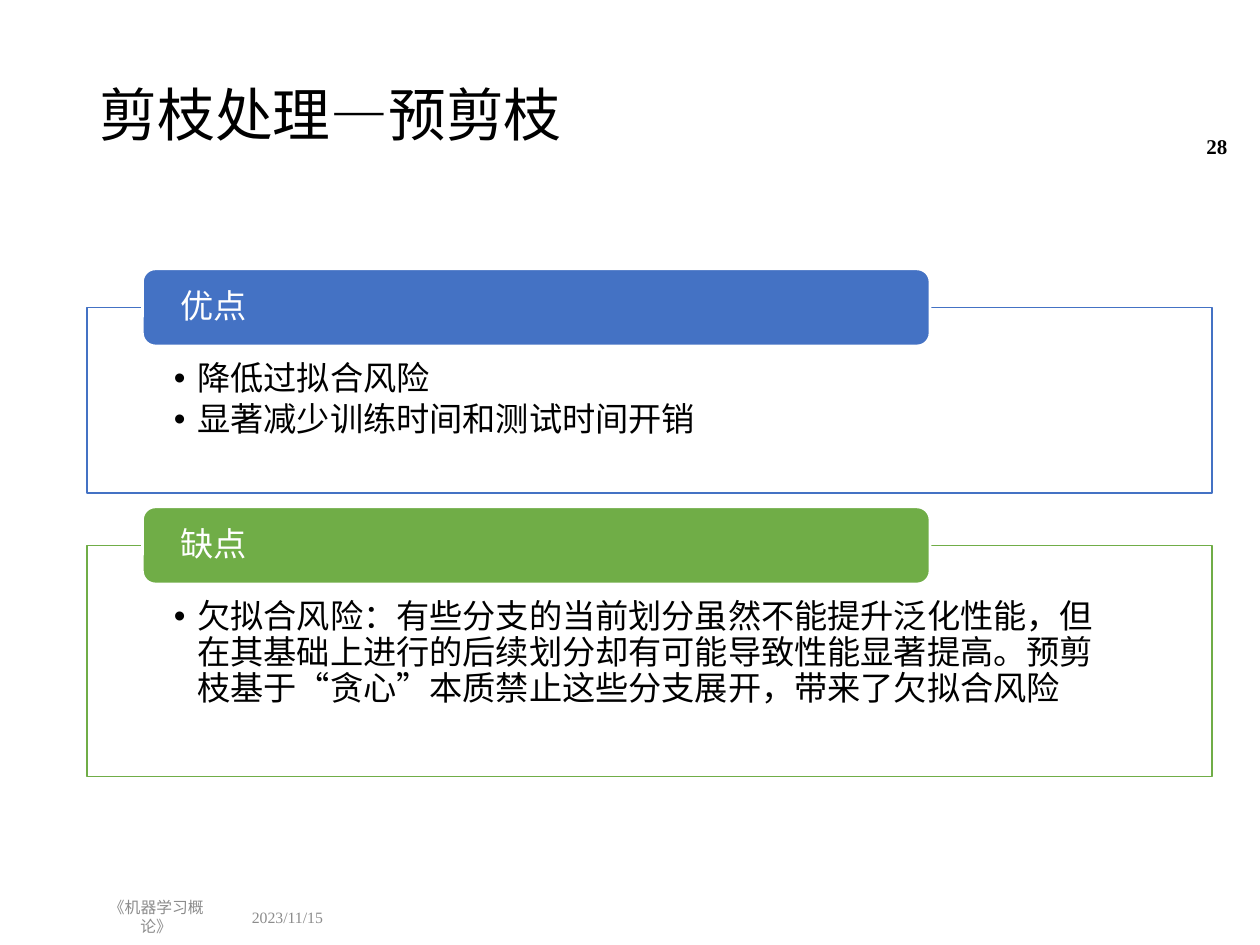
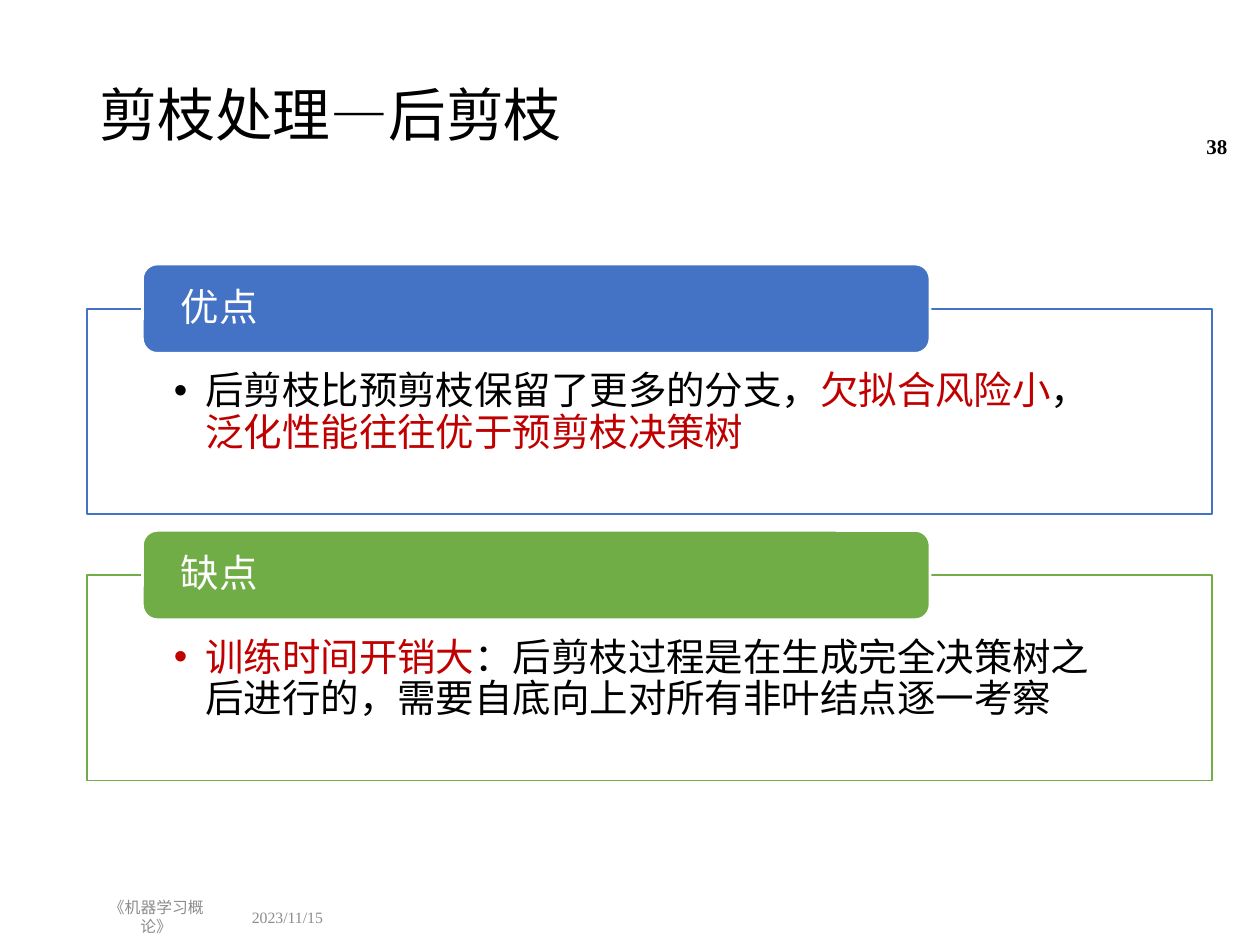
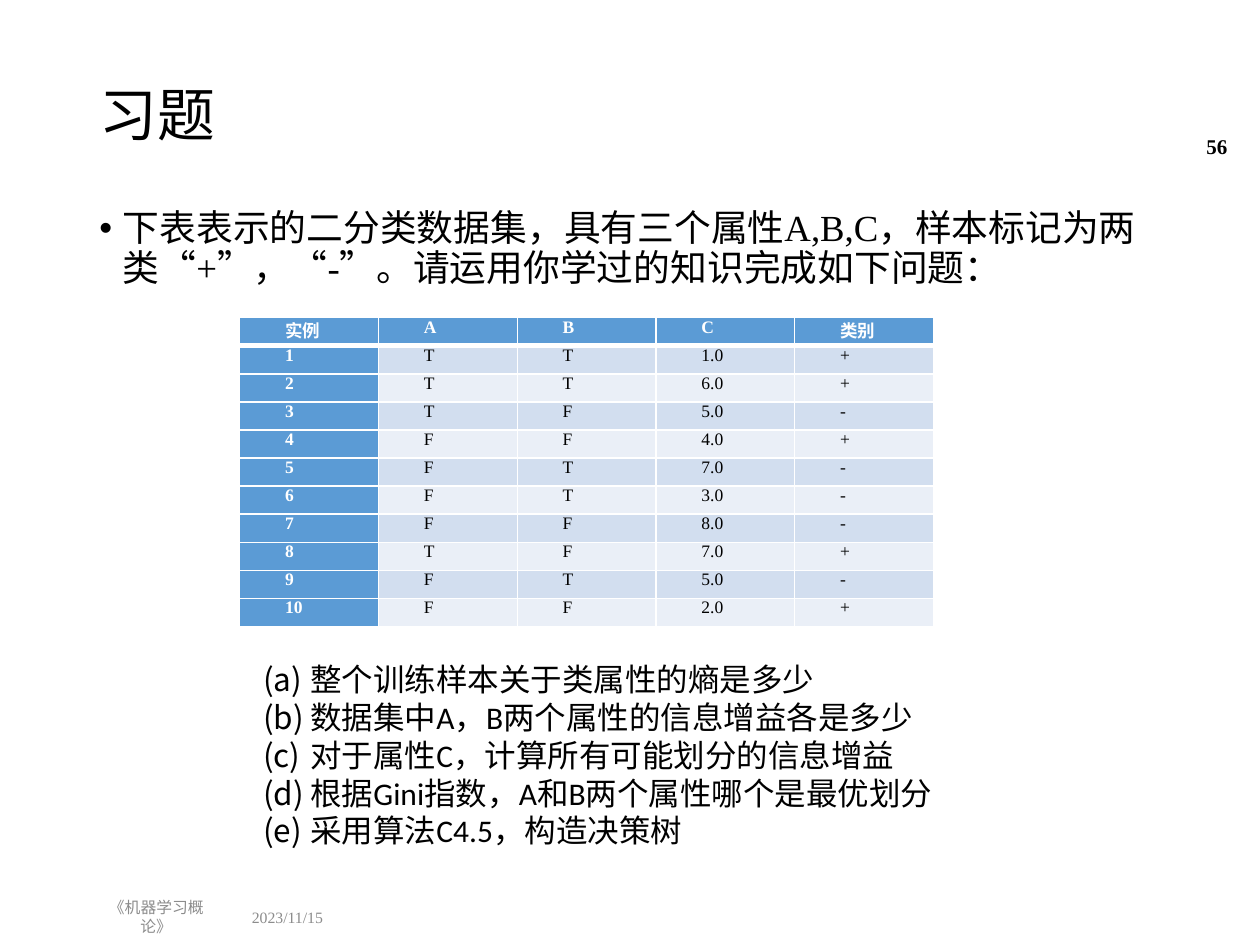
from lxml import etree
from pptx import Presentation
from pptx.dml.color import RGBColor
from pptx.enum.lang import MSO_LANGUAGE_ID as Lang
from pptx.enum.shapes import MSO_SHAPE as Shape
from pptx.enum.text import MSO_ANCHOR as Anchor, MSO_AUTO_SIZE as AutoSize, PP_ALIGN as Align
from pptx.oxml.ns import qn
from pptx.util import Pt

BLACK, WHITE, GRAY, RED = "000000", "FFFFFF", "8C8C8C", "C00000"
BLUE, GREEN = "4472C4", "70AD47"
HEADER, BANDS = "5B9BD5", ("D2DEEF", "EAEFF7")
LEFT, WIDTH = 49.7, 620.6
PANEL_WIDTH, LABEL_LEFT, LABEL_WIDTH = 643, 81.4, 450


def rgb(color):
    return RGBColor.from_string(color)


class Deck:
    serif = "Times New Roman"
    sans = "Calibri"

    def __init__(self):
        self.prs = Presentation()
        self.prs.slide_width, self.prs.slide_height = Pt(720), Pt(540)

    def start_slide(self, heading, number):
        self.slide = self.prs.slides.add_slide(self.prs.slide_layouts[5])
        title = self.slide.shapes.title
        title.left, title.top, title.width, title.height = Pt(LEFT), Pt(28.8), Pt(WIDTH), Pt(77)
        self.fill_text(title.text_frame, [heading], 33, spacing=0.9, anchor=Anchor.MIDDLE)
        self.text(136.8, 513.4, 65.5, 20.9, ["2023/11/15"], 9, GRAY, anchor=Anchor.MIDDLE)
        self.text(LEFT, 513.4, 79.2, 20.9, ["《机器学习概论》"], 9, GRAY,
                  align=Align.CENTER, anchor=Anchor.MIDDLE)
        self.text(658.8, 69.1, 49.7, 28.8, [number], 12, bold=True,
                  align=Align.RIGHT, anchor=Anchor.MIDDLE)

    def fill_text(self, frame, paragraphs, size, color=BLACK, bold=False, font=None,
                  align=Align.LEFT, anchor=Anchor.TOP, spacing=None, after=None,
                  hanging=0, bullet=None, insets=None):
        frame.word_wrap = True
        frame.auto_size = AutoSize.NONE
        frame.vertical_anchor = anchor
        if insets:
            frame.margin_left, frame.margin_top, frame.margin_right, frame.margin_bottom = map(Pt, insets)
        for index, content in enumerate(paragraphs):
            paragraph = frame.add_paragraph() if index else frame.paragraphs[0]
            if bullet:
                self.bullet(paragraph, hanging, *bullet)
            paragraph.alignment = align
            if spacing:
                paragraph.line_spacing = spacing
            if after:
                paragraph.space_after = Pt(after)
            pieces = [(content, color)] if isinstance(content, str) else content
            for words, tint in pieces:
                run = paragraph.add_run()
                run.text = words
                self.style(run.font, size, tint, bold, font)

    def style(self, font, size, color, bold=False, name=None):
        font.name, font.size, font.bold = name or self.serif, Pt(size), bold
        font.color.rgb = rgb(color)
        font.language_id = Lang.SIMPLIFIED_CHINESE

    def bullet(self, paragraph, hanging, tag, attribute, value):
        properties = paragraph._p.get_or_add_pPr()
        properties.set("marL", str(Pt(hanging)))
        properties.set("indent", str(-Pt(hanging)))
        if tag == "a:buChar":
            etree.SubElement(properties, qn("a:buFont")).set("typeface", "Arial")
        etree.SubElement(properties, qn(tag)).set(attribute, value)

    def text(self, left, top, width, height, paragraphs, size, color=BLACK, **options):
        box = self.slide.shapes.add_textbox(Pt(left), Pt(top), Pt(width), Pt(height))
        self.fill_text(box.text_frame, paragraphs, size, color, **options)

    def block(self, kind, left, top, width, height, fill, line, weight):
        block = self.slide.shapes.add_shape(kind, Pt(left), Pt(top), Pt(width), Pt(height))
        block.shadow.inherit = False
        block.fill.solid()
        block.fill.fore_color.rgb = rgb(fill)
        block.line.color.rgb = rgb(line)
        block.line.width = Pt(weight)
        return block.text_frame

    def panels(self, top, size, label_height, gap, padding, hanging, sections):
        for label, color, height, points in sections:
            body = self.block(Shape.RECTANGLE, LEFT, top, PANEL_WIDTH, height, WHITE, color, 1)
            self.fill_text(body, points, size, spacing=0.9, after=size * 0.15, hanging=hanging,
                           bullet=DOT, insets=(LEFT, padding, LEFT, 11))
            tab = self.block(Shape.ROUNDED_RECTANGLE, LABEL_LEFT, top - label_height / 2,
                             LABEL_WIDTH, label_height, color, WHITE, 1.5)
            self.fill_text(tab, [label], size, WHITE, spacing=0.9, anchor=Anchor.MIDDLE,
                           insets=(19.4, 0, 19.4, 0))
            top += height + gap + label_height / 2

    def table(self, left, top, column_width, row_height, rows):
        columns = len(rows[0])
        table = self.slide.shapes.add_table(
            len(rows), columns, Pt(left), Pt(top),
            Pt(column_width * columns), Pt(row_height * len(rows))).table
        for column in table.columns:
            column.width = Pt(column_width)
        for r, values in enumerate(rows):
            table.rows[r].height = Pt(row_height)
            for c, value in enumerate(values):
                heading = r == 0 or c == 0
                cell = table.cell(r, c)
                cell.margin_left = cell.margin_right = Pt(5)
                cell.margin_top = cell.margin_bottom = 0
                paragraph = cell.text_frame.paragraphs[0]
                paragraph.text = value
                paragraph._p.get_or_add_pPr().set("indent", str(Pt(21)))
                self.style(paragraph.runs[0].font, 10, WHITE if heading else BLACK, heading)
                self.borders(cell, top=3 if r == 1 else 1, bottom=3 if r == 0 else 1)
                cell.fill.solid()
                cell.fill.fore_color.rgb = rgb(HEADER if heading else BANDS[(r - 1) % 2])

    def borders(self, cell, top, bottom):
        properties = cell._tc.get_or_add_tcPr()
        for side, weight in (("L", 1), ("R", 1), ("T", top), ("B", bottom)):
            line = etree.SubElement(properties, qn("a:ln" + side), w=str(Pt(weight)))
            fill = etree.SubElement(line, qn("a:solidFill"))
            etree.SubElement(fill, qn("a:srgbClr"), val=WHITE)


DOT = ("a:buChar", "char", "•")
LETTERS = ("a:buAutoNum", "type", "alphaLcParenBoth")

SAMPLES = [
    "实例 A B C 类别", "1 T T 1.0 +", "2 T T 6.0 +", "3 T F 5.0 -", "4 F F 4.0 +",
    "5 F T 7.0 -", "6 F T 3.0 -", "7 F F 8.0 -", "8 T F 7.0 +", "9 F T 5.0 -", "10 F F 2.0 +",
]

QUESTIONS = [
    "整个训练样本关于类属性的熵是多少",
    "数据集中A，B两个属性的信息增益各是多少",
    "对于属性C，计算所有可能划分的信息增益",
    "根据Gini指数，A和B两个属性哪个是最优划分",
    "采用算法C4.5，构造决策树",
]


def main():
    deck = Deck()

    deck.start_slide("剪枝处理—预剪枝", "28")
    deck.panels(175.7, 19, 44, 8, 31, 13.5, [
        ("优点", BLUE, 106, ["降低过拟合风险", "显著减少训练时间和测试时间开销"]),
        ("缺点", GREEN, 132, [
            "欠拟合风险：有些分支的当前划分虽然不能提升泛化性能，但在其基础上进行的后续划分却有可能"
            "导致性能显著提高。预剪枝基于“贪心”本质禁止这些分支展开，带来了欠拟合风险"]),
    ])

    deck.start_slide("剪枝处理—后剪枝", "38")
    deck.panels(176.4, 22, 51, 9.3, 36, 18, [
        ("优点", BLUE, 117.4, [[
            ("后剪枝比预剪枝保留了更多的分支，", BLACK), ("欠拟合风险小", RED),
            ("，", BLACK), ("泛化性能往往优于预剪枝决策树", RED)]]),
        ("缺点", GREEN, 117.4, [[
            ("训练时间开销大", RED),
            ("：后剪枝过程是在生成完全决策树之后进行的，需要自底向上对所有非叶结点逐一考察", BLACK)]]),
    ])

    deck.start_slide("习题", "56")
    deck.text(LEFT, 116.6, WIDTH, 388, [
        "下表表示的二分类数据集，具有三个属性A,B,C，样本标记为两类“+”，“-”。"
        "请运用你学过的知识完成如下问题："], 21, spacing=0.9, hanging=13.5, bullet=DOT)
    deck.table(137, 181.5, 79.3, 16.05, [sample.split() for sample in SAMPLES])
    deck.text(143.3, 373.7, 418.3, 116.6, QUESTIONS, 18, font=deck.sans,
              align=Align.JUSTIFY, hanging=27, bullet=LETTERS)

    deck.prs.save("out.pptx")


if __name__ == "__main__":
    main()
